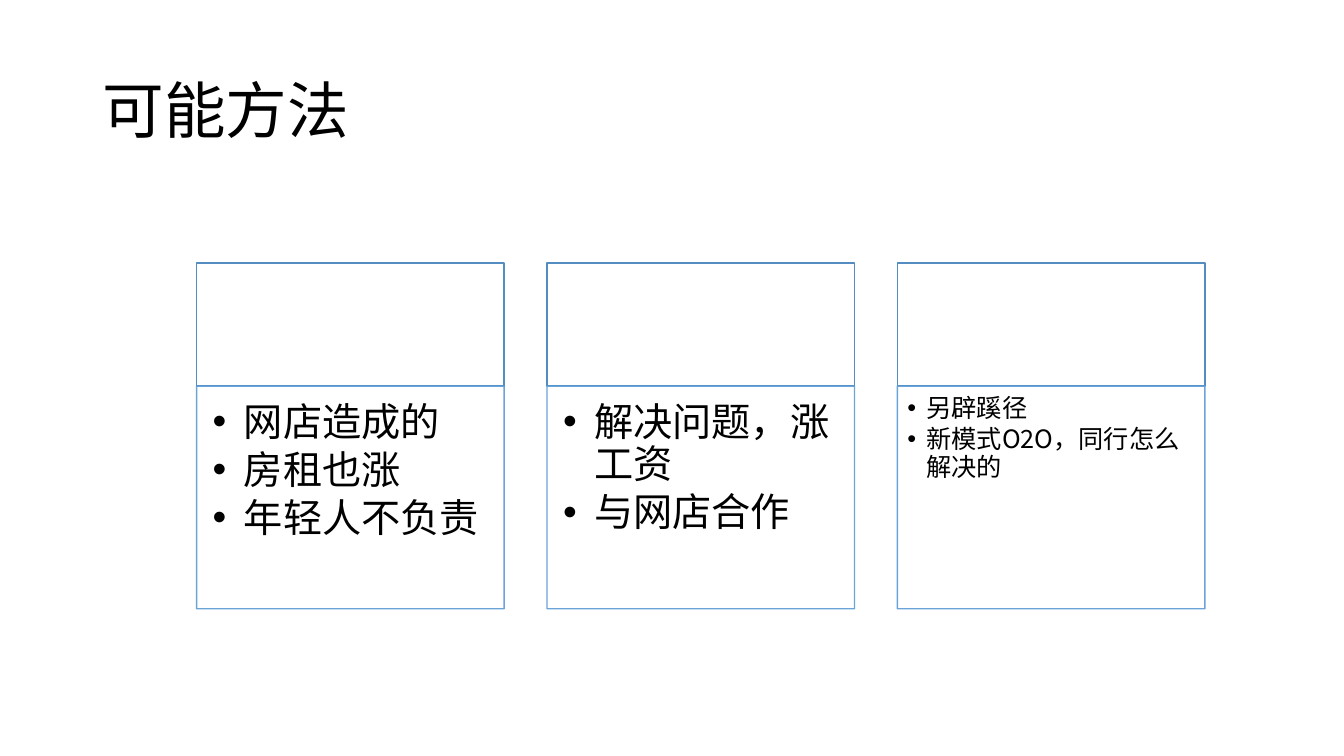
from lxml import etree
from pptx import Presentation
from pptx import util as u
from pptx.dml.color import RGBColor
from pptx.enum import shapes, text
from pptx.oxml.ns import qn

WIDTH, HEIGHT = 13.33, 7.5
FONT = "Noto Sans CJK SC"
COLORS = {"text": "000000", "panel": "FFFFFF", "header_line": "538DC1", "body_line": "5B9BD5"}

# Column grid of the three methods
LEFT, TOP, COLUMN_WIDTH, PITCH = 1.95, 2.61, 3.05, 3.475
HEADER_HEIGHT, BODY_HEIGHT = 1.22, 2.21

# Per method: text size, bullet indent, insets (left, top, right, bottom), points
LARGE = (28, 0.31, (0.16, 0.16, 0.22, 0.24))
SMALL = (18, 0.19, (0.1, 0.1, 0.14, 0.16))
METHODS = [
    (*LARGE, ["网店造成的", "房租也涨", "年轻人不负责"]),
    (*LARGE, ["解决问题，涨工资", "与网店合作"]),
    (*SMALL, ["另辟蹊径", "新模式O2O，同行怎么解决的"]),
]


def color(name):
    return RGBColor.from_string(COLORS[name])


def set_font(paragraph, size):
    paragraph.line_spacing = 0.9
    paragraph.font.size = u.Pt(size)
    paragraph.font.name = FONT
    paragraph.font.color.rgb = color("text")
    # East Asian glyphs take their own typeface entry
    defaults = paragraph._p.pPr.find(qn("a:defRPr"))
    etree.SubElement(defaults, qn("a:ea"), typeface=FONT)


def set_bullet(paragraph, indent):
    properties = paragraph._p.get_or_add_pPr()
    properties.set("marL", str(u.Inches(indent)))
    properties.set("indent", str(-u.Inches(indent)))
    spacing = etree.SubElement(properties, qn("a:spcAft"))
    etree.SubElement(spacing, qn("a:spcPct"), val="15000")
    etree.SubElement(properties, qn("a:buFont"), typeface="Arial")
    etree.SubElement(properties, qn("a:buChar"), char="•")


def add_title(slide, title):
    box = slide.shapes.add_textbox(*map(u.Inches, (0.92, 0.4, 11.5, 1.45)))
    frame = box.text_frame
    frame.word_wrap = True
    frame.vertical_anchor = text.MSO_ANCHOR.MIDDLE
    frame.text = title
    set_font(frame.paragraphs[0], 44)


def add_panel(slide, left, top, height, line, opacity=100):
    panel = slide.shapes.add_shape(
        shapes.MSO_SHAPE.RECTANGLE, *map(u.Inches, (left, top, COLUMN_WIDTH, height)))
    panel.shadow.inherit = False
    panel.fill.solid()
    panel.fill.fore_color.rgb = color("panel")
    panel.line.color.rgb = color(line)
    panel.line.width = u.Pt(1)
    if opacity < 100:
        for tone in panel._element.spPr.iter(qn("a:srgbClr")):
            etree.SubElement(tone, qn("a:alpha"), val=str(opacity * 1000))
    return panel


def add_points(panel, points, size, indent, insets):
    frame = panel.text_frame
    frame.word_wrap = True
    frame.vertical_anchor = text.MSO_ANCHOR.TOP
    (frame.margin_left, frame.margin_top,
     frame.margin_right, frame.margin_bottom) = map(u.Inches, insets)
    frame.text = "\n".join(points)
    for paragraph in frame.paragraphs:
        paragraph.alignment = text.PP_ALIGN.LEFT
        set_bullet(paragraph, indent)
        set_font(paragraph, size)


def add_method(slide, column, size, indent, insets, points):
    left = LEFT + column * PITCH
    add_panel(slide, left, TOP, HEADER_HEIGHT, "header_line")
    body = add_panel(slide, left, TOP + HEADER_HEIGHT, BODY_HEIGHT, "body_line", opacity=90)
    add_points(body, points, size, indent, insets)


def main():
    deck = Presentation()
    deck.slide_width, deck.slide_height = u.Inches(WIDTH), u.Inches(HEIGHT)
    slide = deck.slides.add_slide(deck.slide_layouts[6])
    add_title(slide, "可能方法")
    for column, method in enumerate(METHODS):
        add_method(slide, column, *method)
    deck.save("out.pptx")


main()
